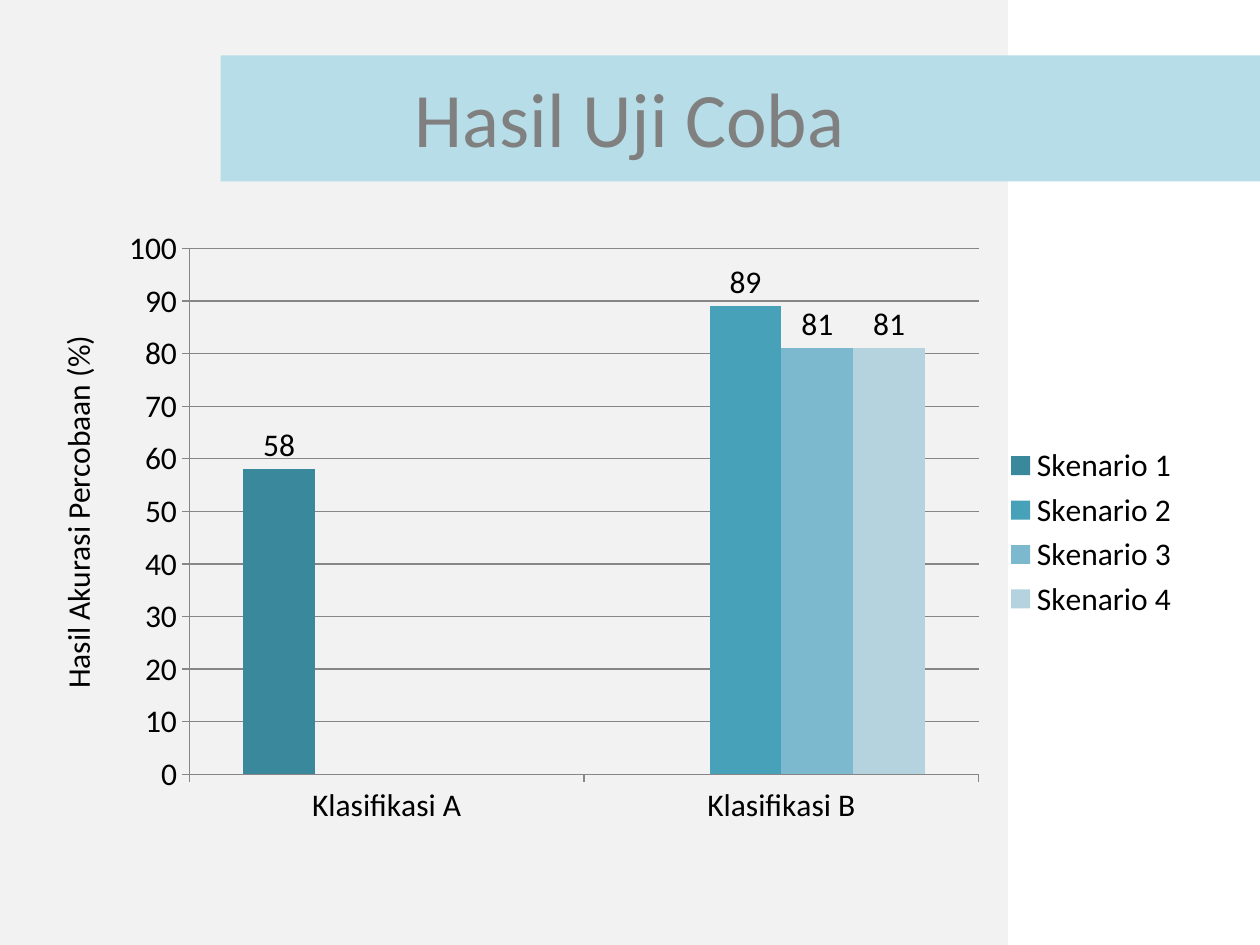
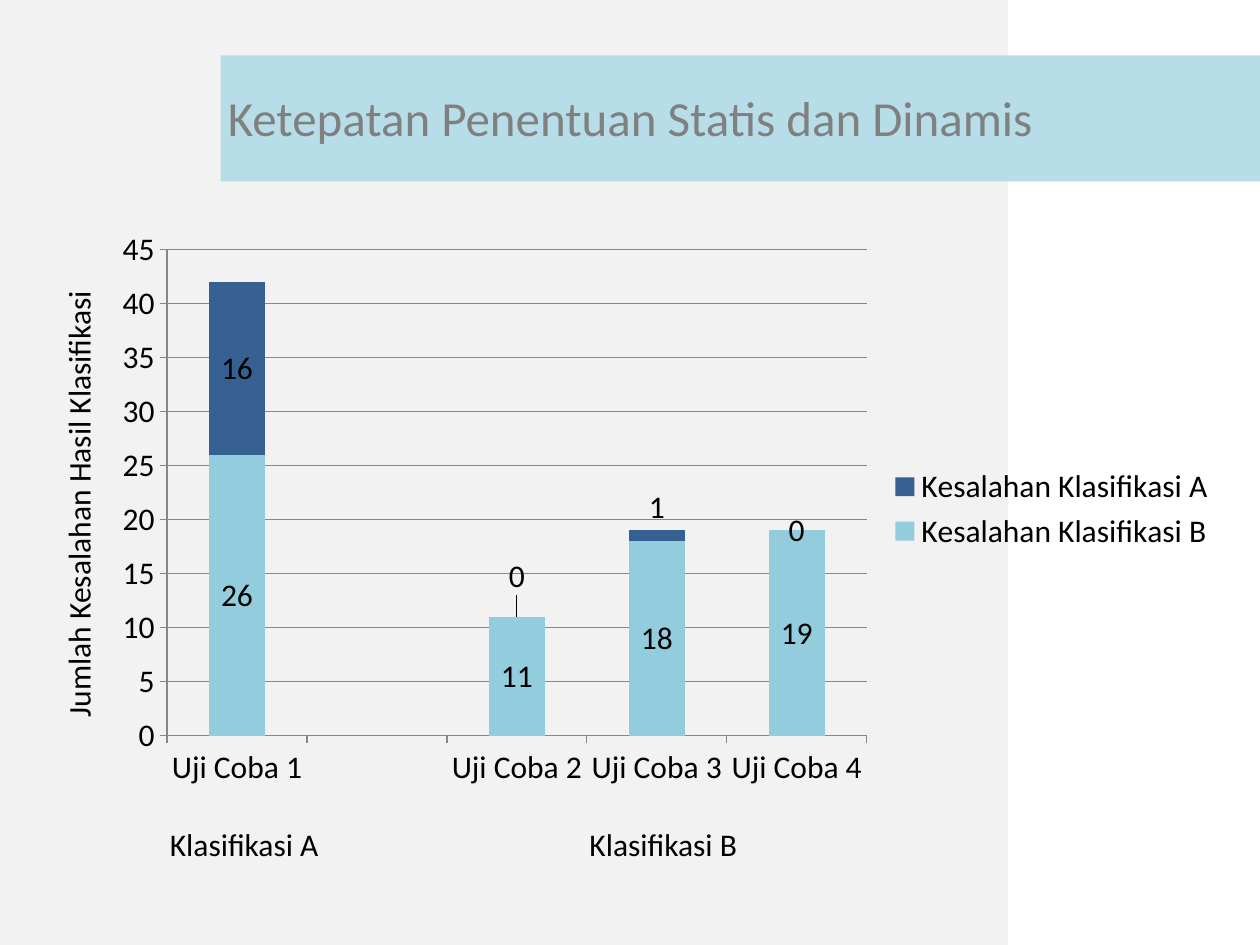
from lxml import etree
from pptx import Presentation
from pptx.chart.data import CategoryChartData
from pptx.dml.color import RGBColor
from pptx.enum.chart import XL_CHART_TYPE as CT, XL_LABEL_POSITION as LP
from pptx.enum.chart import XL_LEGEND_POSITION, XL_TICK_MARK
from pptx.enum.shapes import MSO_SHAPE
from pptx.enum.text import MSO_ANCHOR, MSO_AUTO_SIZE, PP_ALIGN
from pptx.oxml import parse_xml
from pptx.oxml.ns import nsdecls, qn
from pptx.util import Inches, Pt

FONT = "Calibri"
COLORS = {
    "panel": "F2F2F2", "band": "B7DEE8", "title": "808080",
    "text": "000000", "grid": "868686",
}

# Shared backdrop: left, top, width, height, colour
BACKDROP = [
    (0, 0, 8, 7.5, "panel"),
    (1.75, 0.44, 8.25, 1, "band"),
]

# Captions: left, top, width, rotation, text
SLIDES = [
    {
        "title": "Hasil Uji Coba", "size": 44,
        "type": CT.COLUMN_CLUSTERED, "at": (0.83, 1.75, 8.63, 4.95),
        "plot": (0.078, 0.045, 0.726, 0.843),
        "overlap": 0, "max": 100, "step": 10, "labels": LP.OUTSIDE_END,
        "cats": ["Klasifikasi A", "Klasifikasi B"],
        "series": [
            ("Skenario 1", (58, None), "3A889C"),
            ("Skenario 2", (None, 89), "46A1B9"),
            ("Skenario 3", (None, 81), "7CB9CF"),
            ("Skenario 4", (None, 81), "B5D3DF"),
        ],
        "raised": {},
        "captions": [(-0.9, 3.85, 3.03, 270, "Hasil Akurasi Percobaan (%)")],
    },
    {
        "title": "Ketepatan Penentuan Statis dan Dinamis", "size": 28,
        "type": CT.COLUMN_STACKED, "at": (0.75, 1.75, 9, 4.58),
        "plot": (0.064, 0.05, 0.617, 0.843),
        "overlap": 100, "max": 45, "step": 5, "labels": LP.CENTER,
        "cats": ["Uji Coba 1", "", "Uji Coba 2", "Uji Coba 3", "Uji Coba 4"],
        "series": [
            ("Kesalahan Klasifikasi B", (26, None, 11, 18, 19), "93CDDD"),
            ("Kesalahan Klasifikasi A", (16, None, 0, 1, 0), "376092"),
        ],
        # Labels of the last series lifted off their bars, by point
        "raised": {2: -0.07, 3: -0.05},
        "captions": [
            (1.25, 6.5, 1.39, 0, "Klasifikasi A"),
            (4.58, 6.5, 1.39, 0, "Klasifikasi B"),
            (-1.19, 3.78, 3.62, 270, "Jumlah Kesalahan Hasil Klasifikasi"),
        ],
    },
]


def style_font(font, size, color):
    font.name = FONT
    font.size = Pt(size)
    font.color.rgb = RGBColor.from_string(COLORS[color])


def manual_layout(**values):
    """Build a c:layout element from manual layout settings."""
    layout = parse_xml(f"<c:layout {nsdecls('c')}><c:manualLayout/></c:layout>")
    for tag, val in values.items():
        etree.SubElement(layout[0], qn(f"c:{tag}")).set("val", str(val))
    return layout


prs = Presentation()
prs.slide_width, prs.slide_height = Inches(10), Inches(7.5)

for spec_ in SLIDES:
    s = prs.slides.add_slide(prs.slide_layouts[5])

    # Backdrop, behind the title
    grp = s.shapes.add_group_shape()
    for *box, color in BACKDROP:
        sp = grp.shapes.add_shape(MSO_SHAPE.RECTANGLE, *map(Inches, box))
        sp.shadow.inherit = False
        sp.fill.solid()
        sp.fill.fore_color.rgb = RGBColor.from_string(COLORS[color])
        sp.line.fill.background()
    s.shapes._spTree.insert(2, grp._element)

    # Title
    title = s.shapes.title
    title.left, title.top = Inches(0.5), Inches(0.3)
    title.width, title.height = Inches(9), Inches(1.25)
    tf = title.text_frame
    tf.text = spec_["title"]
    tf.vertical_anchor = MSO_ANCHOR.MIDDLE
    p = tf.paragraphs[0]
    p.alignment = PP_ALIGN.CENTER
    style_font(p.font, spec_["size"], "title")

    # Chart
    data = CategoryChartData()
    data.categories = spec_["cats"]
    for name, vals, _ in spec_["series"]:
        data.add_series(name, vals)
    chart = s.shapes.add_chart(spec_["type"], *map(Inches, spec_["at"]), data).chart
    style_font(chart.font, 18, "text")
    chart.has_title = False
    chart.has_legend = True
    chart.legend.position = XL_LEGEND_POSITION.RIGHT
    chart.legend.include_in_layout = False

    # Plot area position
    area = chart._chartSpace.chart.plotArea
    for old in area.findall(qn("c:layout")):
        area.remove(old)
    x, y, w, h = spec_["plot"]
    area.insert(0, manual_layout(layoutTarget="inner", xMode="edge", yMode="edge",
                                 x=x, y=y, w=w, h=h))

    # Axes and gridlines
    val_axis = chart.value_axis
    val_axis.minimum_scale, val_axis.maximum_scale = 0, spec_["max"]
    val_axis.major_unit = spec_["step"]
    val_axis.has_major_gridlines = True
    for axis in (chart.category_axis, val_axis):
        axis.major_tick_mark = XL_TICK_MARK.OUTSIDE
    for part in (chart.category_axis, val_axis, val_axis.major_gridlines):
        part.format.line.color.rgb = RGBColor.from_string(COLORS["grid"])
        part.format.line.width = Pt(0.75)

    # Columns and value labels
    plot = chart.plots[0]
    plot.vary_by_categories = False
    plot.gap_width, plot.overlap = 150, spec_["overlap"]
    for ser, (_, _, color) in zip(plot.series, spec_["series"]):
        ser.format.fill.solid()
        ser.format.fill.fore_color.rgb = RGBColor.from_string(color)
        ser.data_labels.show_value = True
        ser.data_labels.position = spec_["labels"]
        style_font(ser.data_labels.font, 18, "text")
    for i, shift in spec_["raised"].items():
        label = ser.points[i].data_label
        label.position = spec_["labels"]
        style_font(label.font, 18, "text")
        idx = ser._element.xpath(f"c:dLbls/c:dLbl/c:idx[@val='{i}']")[0]
        idx.addnext(manual_layout(x=0, y=shift))

    # Axis captions
    for left, top, width, rotation, text in spec_["captions"]:
        tb = s.shapes.add_textbox(*map(Inches, (left, top, width, 0.4)))
        tb.rotation = rotation
        tf = tb.text_frame
        tf.word_wrap = False
        tf.auto_size = MSO_AUTO_SIZE.SHAPE_TO_FIT_TEXT
        tf.text = text
        style_font(tf.paragraphs[0].font, 18, "text")

prs.save("out.pptx")
